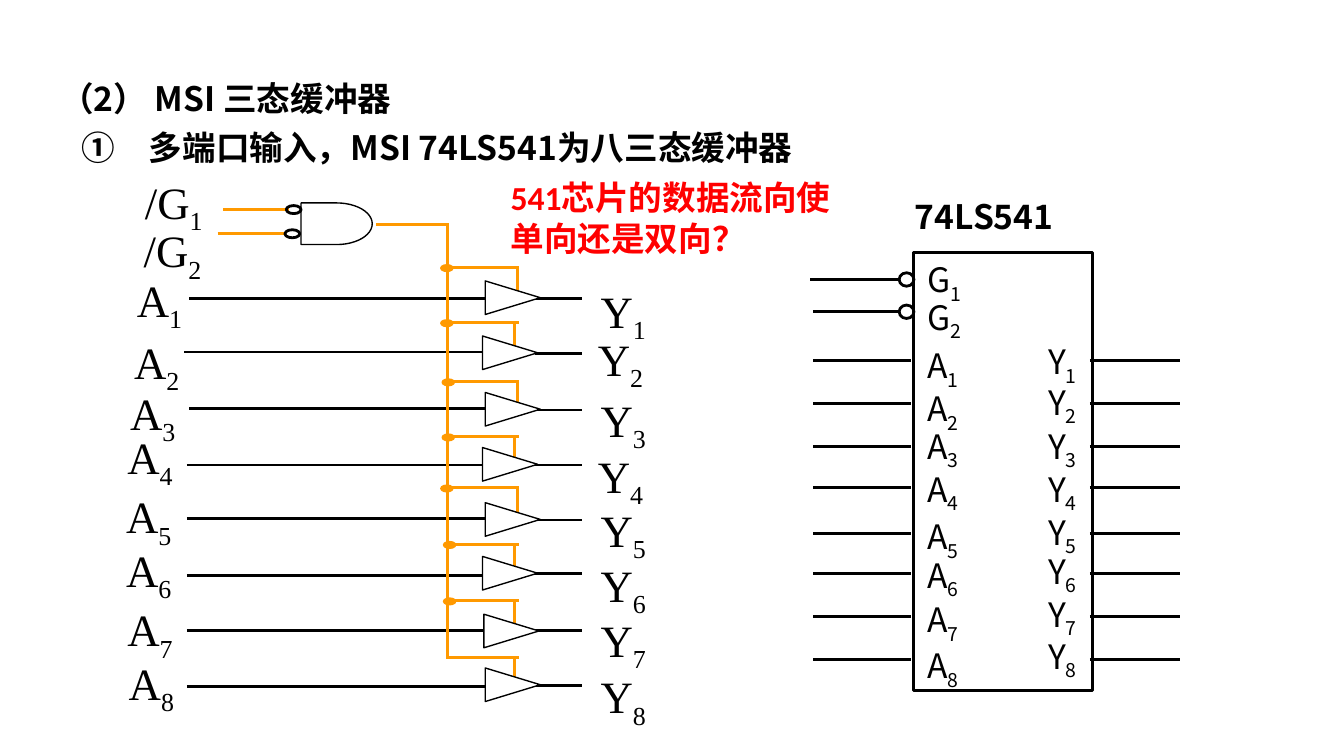
"""Build the slide on the MSI three-state buffer and its 74LS541 symbol."""
import lxml.etree
import pptx
import pptx.dml.color
import pptx.enum.shapes
import pptx.enum.text
import pptx.oxml.ns
import pptx.util

BLACK = pptx.dml.color.RGBColor(0x00, 0x00, 0x00)
WHITE = pptx.dml.color.RGBColor(0xFF, 0xFF, 0xFF)
ORANGE = pptx.dml.color.RGBColor(0xFF, 0x99, 0x00)
RED = pptx.dml.color.RGBColor(0xFF, 0x00, 0x00)
SHAPES = pptx.enum.shapes.MSO_SHAPE
PX = 9144
PAGE_WIDTH = 1000 * PX
PAGE_HEIGHT = PAGE_WIDTH * 9 // 16

HEADING = {"name": "Noto Sans CJK JP", "size": 18, "bold": True, "color": BLACK}
QUESTION = {"name": "Calibri", "size": 18, "bold": True, "color": RED}
CHIP_NAME = {"name": "Noto Sans CJK SC", "size": 18, "bold": True, "color": BLACK}
CHIP_PIN = {"name": "Noto Sans CJK SC", "size": 18, "bold": False, "color": BLACK}
SIGNAL = {"name": "Times New Roman", "size": 24, "bold": False, "color": BLACK}

TEXTS = [
    ("（2） MSI 三态缓冲器", (35, 53, 472, 40), HEADING),
    ("541芯片的数据流向使单向还是双向？", (370, 127, 279, 71), QUESTION),
    ("74LS541", (671, 141, 150, 51), CHIP_NAME),
]
NUMBERED = ("多端口输入，MSI 74LS541为八三态缓冲器", (51, 93, 772, 41), HEADING)

CHIP_BODY = (680, 188, 133, 326)
CHIP_ENABLES = [
    {"label_y": 188, "wire_y": 208, "wire_x": 603},
    {"label_y": 216, "wire_y": 232, "wire_x": 605},
]
CHIP_WIRES = [268, 300, 332, 363, 397, 427, 459, 491]
CHIP_INPUTS = [252, 284, 312, 344, 379, 408, 441, 475]
CHIP_OUTPUTS = [249, 279, 312, 344, 376, 405, 437, 468]

GATE = (224, 151, 53, 31)
GATE_ENABLES = [
    {"label": (98, 125), "wire": (166, 215, 156), "bubble": (213, 153)},
    {"label": (97, 161), "wire": (162, 213, 174), "bubble": (212, 171)},
]
BUS_X, BUS_TOP, BUS_BOTTOM = 333, 166, 489

CHANNEL_FIELDS = ("input", "output", "wire_x", "wire_y", "out_y",
                  "enable_y", "stub_x", "buffer", "dot_x")
CHANNELS = [dict(zip(CHANNEL_FIELDS, row)) for row in [
    ((92, 198), (437, 206), 141, 222, 222, 199, 385, (369, 201), 328),
    ((90, 244), (435, 242), 137, 262, 263, 240, 383, (367, 242), 328),
    ((87, 282), (437, 287), 141, 304, 305, 284, 385, (369, 284), 329),
    ((85, 315), (435, 329), 139, 346, 346, 325, 383, (367, 325), 329),
    ((84, 359), (437, 369), 139, 386, 387, 363, 385, (369, 366), 328),
    ((84, 399), (437, 410), 139, 428, 427, 405, 383, (367, 406), 330),
    ((85, 443), (437, 451), 139, 469, 469, 447, 383, (368, 449), 330),
    ((86, 483), (437, 493), 139, 511, 510, 489, 383, (369, 489), None),
]]


def add_line(page, start, end, color=BLACK):
    ends = [value * PX for value in (*start, *end)]
    line = page.shapes.add_connector(pptx.enum.shapes.MSO_CONNECTOR.STRAIGHT, *ends)
    line.line.color.rgb = color
    line.line.width = pptx.util.Pt(1.5)
    properties = line._element.spPr
    lxml.etree.SubElement(properties, pptx.oxml.ns.qn("a:effectLst"))


def add_outline(page, kind, place, fill=None, color=BLACK, width=1.5, turn=0):
    shape = page.shapes.add_shape(kind, *[value * PX for value in place])
    shape.shadow.inherit = False
    shape.rotation = turn
    if fill is None:
        shape.fill.background()
    else:
        shape.fill.solid()
        shape.fill.fore_color.rgb = fill
    shape.line.color.rgb = color
    shape.line.width = pptx.util.Pt(width)


def add_span(para, text, style):
    span = para.add_run()
    span.text = text
    values = {"name": style["name"], "size": pptx.util.Pt(style["size"]), "bold": style["bold"]}
    for key, value in values.items():
        setattr(span.font, key, value)
    span.font.color.rgb = style["color"]
    properties = span._r.get_or_add_rPr()
    east_asian = lxml.etree.SubElement(properties, pptx.oxml.ns.qn("a:ea"))
    east_asian.set("typeface", style["name"] if "CJK" in style["name"] else "Noto Sans CJK SC")
    return properties


def add_text(page, text, place, style, subscript="", numbered=False):
    box = page.shapes.add_textbox(*[value * PX for value in place])
    box.text_frame.word_wrap = True
    para = box.text_frame.paragraphs[0]
    if numbered:
        para.line_spacing = 0.9
        properties = para._p.get_or_add_pPr()
        properties.set("marL", str(50 * PX))
        properties.set("indent", str(-50 * PX))
        bullet = lxml.etree.SubElement(properties, pptx.oxml.ns.qn("a:buAutoNum"))
        bullet.set("type", "circleNumDbPlain")
    add_span(para, text, style)
    if subscript:
        add_span(para, str(subscript), style).set("baseline", "-25000")


def draw_chip(page):
    add_outline(page, SHAPES.RECTANGLE, CHIP_BODY, WHITE)
    for number, pin in enumerate(CHIP_ENABLES, 1):
        add_line(page, (pin["wire_x"], pin["wire_y"]), (669, pin["wire_y"]))
        add_outline(page, SHAPES.OVAL, (669, pin["wire_y"] - 5, 11, 10))
        add_text(page, "G", (680, pin["label_y"], 58, 51), CHIP_PIN, number)
    pins = zip(CHIP_WIRES, CHIP_INPUTS, CHIP_OUTPUTS)
    for number, (wire_y, input_y, output_y) in enumerate(pins, 1):
        add_line(page, (605, wire_y), (678, wire_y))
        add_line(page, (811, wire_y), (878, wire_y))
        add_text(page, "A", (680, input_y, 58, 51), CHIP_PIN, number)
        add_text(page, "Y", (770, output_y, 58, 51), CHIP_PIN, number)


def draw_gate(page):
    for number, enable in enumerate(GATE_ENABLES, 1):
        left, right, wire_y = enable["wire"]
        add_line(page, (left, wire_y), (right, wire_y), ORANGE)
        add_text(page, "/G", (*enable["label"], 79, 51), SIGNAL, number)
    add_line(page, (280, 167), (BUS_X, 167), ORANGE)
    add_outline(page, SHAPES.FLOWCHART_DELAY, GATE, WHITE, width=0.75)
    for enable in GATE_ENABLES:
        add_outline(page, SHAPES.OVAL, (*enable["bubble"], 11, 6))


def draw_channels(page):
    for number, channel in enumerate(CHANNELS, 1):
        wire_y, out_y, enable_y = (channel[key] for key in ("wire_y", "out_y", "enable_y"))
        add_line(page, (channel["wire_x"], wire_y), (361, wire_y))
        add_line(page, (398, out_y), (433, out_y))
        add_line(page, (332, enable_y), (386, enable_y), ORANGE)
        add_line(page, (channel["stub_x"], enable_y + 1), (channel["stub_x"], enable_y + 19), ORANGE)
        add_text(page, "A", (*channel["input"], 63, 51), SIGNAL, number)
        add_text(page, "Y", (*channel["output"], 67, 51), SIGNAL, number)
        add_outline(page, SHAPES.ISOSCELES_TRIANGLE, (*channel["buffer"], 25, 41),
                    WHITE, width=0.75, turn=90)
    add_line(page, (BUS_X, BUS_TOP), (BUS_X, BUS_BOTTOM), ORANGE)
    for channel in CHANNELS:
        if channel["dot_x"]:
            dot = (channel["dot_x"], channel["enable_y"] - 2, 9, 5)
            add_outline(page, SHAPES.OVAL, dot, ORANGE, ORANGE, 0.75)


def main():
    deck = pptx.Presentation()
    deck.slide_width, deck.slide_height = PAGE_WIDTH, PAGE_HEIGHT
    page = deck.slides.add_slide(deck.slide_layouts[6])
    add_text(page, *NUMBERED, numbered=True)
    draw_chip(page)
    draw_gate(page)
    draw_channels(page)
    for text, place, style in TEXTS:
        add_text(page, text, place, style)
    deck.save("out.pptx")


if __name__ == "__main__":
    main()
